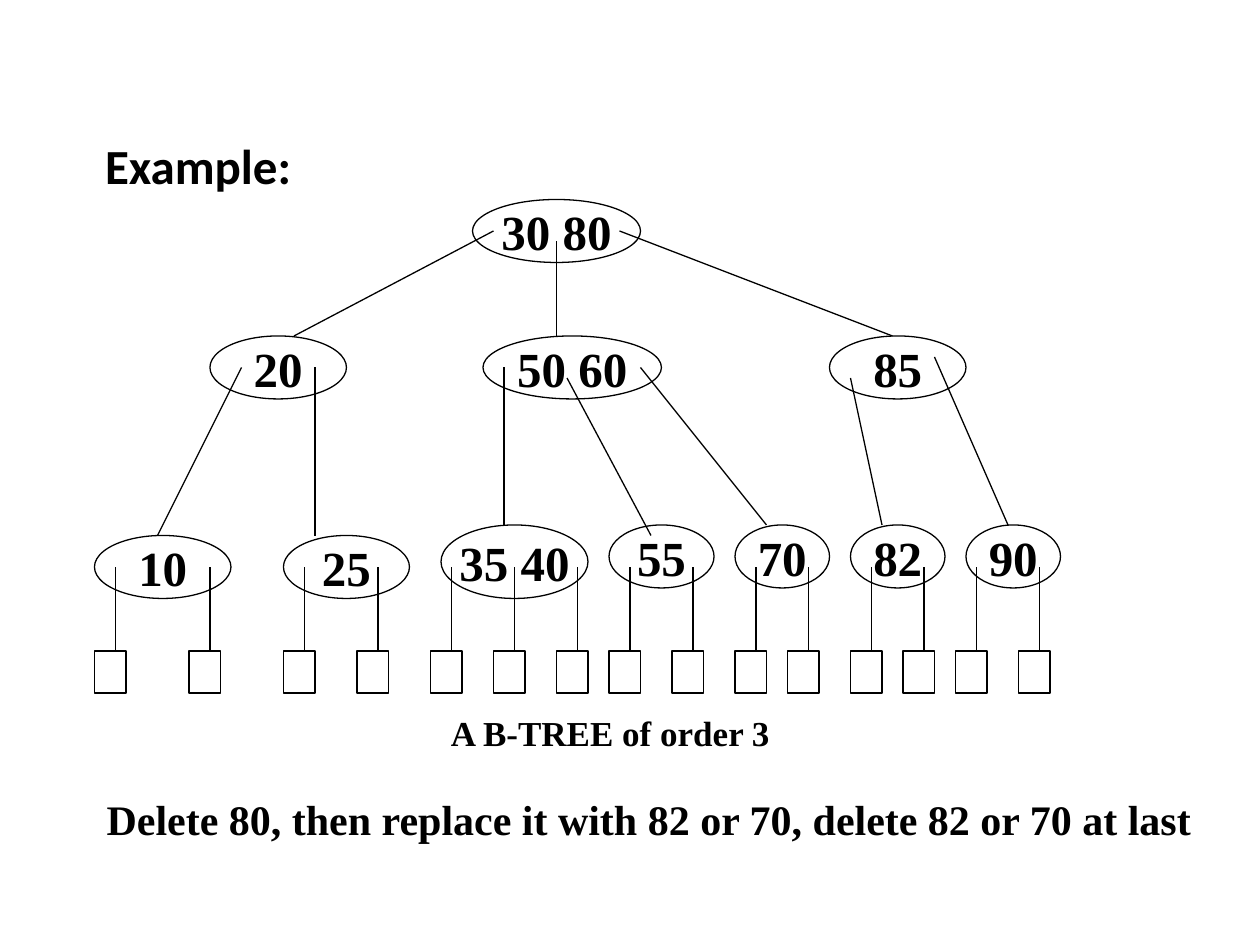
from pptx import Presentation
from pptx.dml.color import RGBColor
from pptx.enum.shapes import MSO_CONNECTOR, MSO_SHAPE
from pptx.enum.text import MSO_ANCHOR, PP_ALIGN
from pptx.oxml.ns import qn
from pptx.util import Cm, Pt
from lxml.etree import SubElement

BLACK = "000000"
SERIF = "Times New Roman"

# The tree sits on a grid of 12 units to the inch.
# Nodes: keys, left, top, width, height
NODES = [
    ("30 80", 45, 19, 16, 6),
    ("20", 20, 32, 13, 6),
    ("50 60", 46, 32, 17, 6),
    ("85", 79, 32, 13, 6),
    ("10", 9, 51, 13, 6),
    ("25", 27, 51, 12, 6),
    ("35 40", 42, 50, 14, 7),
    ("55", 58, 50, 10, 6),
    ("70", 70, 50, 9, 6),
    ("82", 81, 50, 9, 6),
    ("90", 92, 50, 9, 6),
]
# Branches: start x, start y, end x, end y
BRANCHES = [
    (47, 22, 28, 32), (53, 23, 53, 32), (59, 22, 85, 32),
    (23, 35, 15, 51), (30, 35, 30, 51),
    (48, 35, 48, 50), (54, 36, 62, 51), (61, 35, 73, 50),
    (81, 36, 84, 50), (89, 34, 96, 50),
]
LEAF_LEFTS = [9, 18, 27, 34, 41, 47, 53, 58, 64, 70, 75, 81, 86, 91, 97]
LEAF_TOP, LEAF_WIDTH, LEAF_HEIGHT = 62, 3, 4
STEM_TOP, STEM_OFFSET = 54, 2


def color(hex_code):
    return RGBColor.from_string(hex_code)


def grid(*units):
    return [Cm(unit * 2.54 / 12) for unit in units]


def write(frame, text, size, font=SERIF):
    paragraph = frame.paragraphs[0]
    paragraph.text = text
    paragraph.font.name = font
    paragraph.font.size = Pt(size)
    paragraph.font.bold = True
    paragraph.font.color.rgb = color(BLACK)
    return paragraph


def add_label(slide, text, left, top, width, height, size, font=SERIF, wrap=True):
    label = slide.shapes.add_textbox(Cm(left), Cm(top), Cm(width), Cm(height))
    label.text_frame.word_wrap = wrap
    return write(label.text_frame, text, size, font)


def add_outline(slide, preset, left, top, width, height):
    outline = slide.shapes.add_shape(preset, *grid(left, top, width, height))
    outline.shadow.inherit = False
    outline.fill.background()
    outline.line.color.rgb = color(BLACK)
    outline.line.width = Pt(0.75)
    return outline


def add_node(slide, keys, left, top, width, height):
    node = add_outline(slide, MSO_SHAPE.OVAL, left, top, width, height)
    node.text_frame.word_wrap = False
    node.text_frame.vertical_anchor = MSO_ANCHOR.MIDDLE
    write(node.text_frame, keys, 28).alignment = PP_ALIGN.CENTER


def add_branch(slide, start_x, start_y, end_x, end_y):
    branch = slide.shapes.add_connector(
        MSO_CONNECTOR.STRAIGHT, *grid(start_x, start_y, end_x, end_y))
    branch.line.color.rgb = color(BLACK)
    branch.line.width = Pt(0.75)
    SubElement(branch._element.spPr, qn("a:effectLst"))


def add_leaf(slide, left):
    add_outline(slide, MSO_SHAPE.RECTANGLE, left, LEAF_TOP, LEAF_WIDTH, LEAF_HEIGHT)
    stem = left + STEM_OFFSET
    add_branch(slide, stem, STEM_TOP, stem, LEAF_TOP)


def main():
    deck = Presentation()
    deck.slide_width, deck.slide_height = Cm(25.4), Cm(19.05)
    slide = deck.slides.add_slide(deck.slide_layouts[6])

    # Heading and task
    heading = add_label(slide, "Example:", 1.87, 2.75, 21.4, 11.43, 28, "Calibri")
    heading.line_spacing = 0.9
    add_label(slide, "Delete 80, then replace it with 82 or 70, delete 82 or 70 at last",
              1.9, 15.88, 22.9, 1.27, 24)

    # Tree
    for node in NODES:
        add_node(slide, *node)
    for branch in BRANCHES:
        add_branch(slide, *branch)
    for left in LEAF_LEFTS:
        add_leaf(slide, left)

    # Caption
    add_label(slide, "A B-TREE of order 3", 8.84, 14.22, 7.01, 1.12, 20, wrap=False)

    deck.save("out.pptx")


if __name__ == "__main__":
    main()
